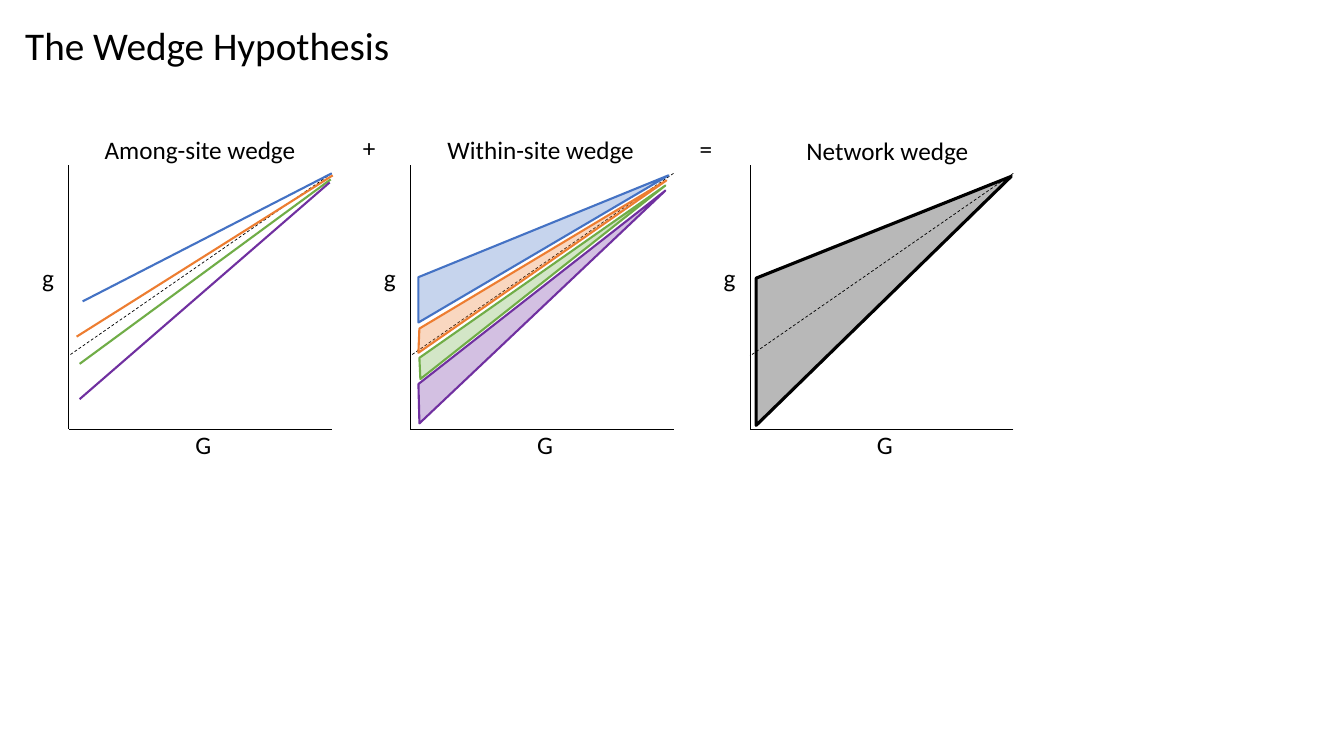
"""Build the Wedge Hypothesis slide: three wedge plots joined as a sum."""
from lxml import etree
from pptx import Presentation
from pptx.dml.color import RGBColor
from pptx.enum import dml, shapes, text
from pptx.oxml.ns import qn
from pptx.util import Pt

BLACK = RGBColor(0x00, 0x00, 0x00)
BLUE = RGBColor(0x44, 0x72, 0xC4)
ORANGE = RGBColor(0xED, 0x7D, 0x31)
GREEN = RGBColor(0x70, 0xAD, 0x47)
PURPLE = RGBColor(0x70, 0x30, 0xA0)

PX = 9144
SLIDE = (1333, 750)
TITLE = ("The Wedge Hypothesis", (15, 16, 448, 57))
ORIGINS = (68, 407, 744)
AXIS_TOP, AXIS_BASE, AXIS_WIDTH = 164, 426, 261
TREND_START, TREND_END = 353, 172
LABEL_HEIGHT = 40
AXIS_LABELS = [("G", 116, 421, 46), ("g", -36, 255, 46)]
HEADINGS = [
    ("Among-site wedge", 94, 128, 233),
    ("+", 350, 126, 72),
    ("Within-site wedge", 434, 128, 217),
    ("=", 684, 127, 72),
    ("Network wedge", 790, 129, 261),
]
SITE_LINES = [
    (BLUE, (329, 172), (82, 299)),
    (ORANGE, (330, 174), (76, 334)),
    (GREEN, (328, 178), (79, 361)),
    (PURPLE, (327, 181), (79, 396)),
]
WEDGES = [
    (BLACK, 28, 2.25, [(750, 276), (750, 422), (1003, 175)]),
    (ORANGE, 30, 1.5, [(415, 350), (661, 179), (416, 326)]),
    (GREEN, 30, 1.5, [(416, 355), (660, 184), (417, 376)]),
    (BLUE, 30, 1.5, [(415, 275), (415, 320), (663, 174)]),
    (PURPLE, 30, 1.5, [(415, 381), (660, 189), (416, 420)]),
]
FRAME_FORMAT = {"word_wrap": True, "vertical_anchor": text.MSO_ANCHOR.TOP}


def emu(*lengths):
    return [length * PX for length in lengths]


def write(sp, words, size):
    tf = sp.text_frame
    for name, value in FRAME_FORMAT.items():
        setattr(tf, name, value)
    p = tf.paragraphs[0]
    p.alignment = text.PP_ALIGN.LEFT
    r = p.add_run()
    r.text = words
    for name, value in {"name": "Calibri", "size": Pt(size)}.items():
        setattr(r.font, name, value)
    r.font.color.rgb = BLACK


def add_label(s, words, x, y, width):
    write(s.shapes.add_textbox(*emu(x, y, width, LABEL_HEIGHT)), words, 18)


def add_line(s, start, end, color, width, dash=None):
    line = s.shapes.add_connector(shapes.MSO_CONNECTOR.STRAIGHT, *emu(*start, *end))
    line.line.color.rgb = color
    line.line.width = Pt(width)
    if dash:
        line.line.dash_style = dash
    etree.SubElement(line._element.spPr, qn("a:effectLst"))


def add_plot(s, x):
    right = x + AXIS_WIDTH
    add_line(s, (x, AXIS_TOP), (x, AXIS_BASE), BLACK, 0.5)
    add_line(s, (right, AXIS_BASE), (x, AXIS_BASE), BLACK, 0.5)
    add_line(s, (right, TREND_END), (x, TREND_START), BLACK, 0.5, dml.MSO_LINE.DASH)
    for words, dx, y, width in AXIS_LABELS:
        add_label(s, words, x + dx, y, width)


def add_wedge(s, color, opacity, width, points):
    builder = s.shapes.build_freeform(*points[0], scale=PX)
    builder.add_line_segments(points[1:], close=True)
    sp = builder.convert_to_shape()
    sp.shadow.inherit = False
    sp.fill.solid()
    sp.fill.fore_color.rgb = color
    fill_color = sp._element.spPr.find(qn("a:solidFill"))[0]
    etree.SubElement(fill_color, qn("a:alpha"), val=str(opacity * 1000))
    sp.line.color.rgb = color
    sp.line.width = Pt(width)


def main():
    prs = Presentation()
    prs.slide_width, prs.slide_height = emu(*SLIDE)
    s = prs.slides.add_slide(prs.slide_layouts[5])
    words, box = TITLE
    title = s.shapes.title
    for name, value in zip(("left", "top", "width", "height"), emu(*box)):
        setattr(title, name, value)
    write(title, words, 28)
    for x in ORIGINS:
        add_plot(s, x)
    for color, start, end in SITE_LINES:
        add_line(s, start, end, color, 1.5)
    for heading in HEADINGS:
        add_label(s, *heading)
    for wedge in WEDGES:
        add_wedge(s, *wedge)
    prs.save("out.pptx")


if __name__ == "__main__":
    main()
